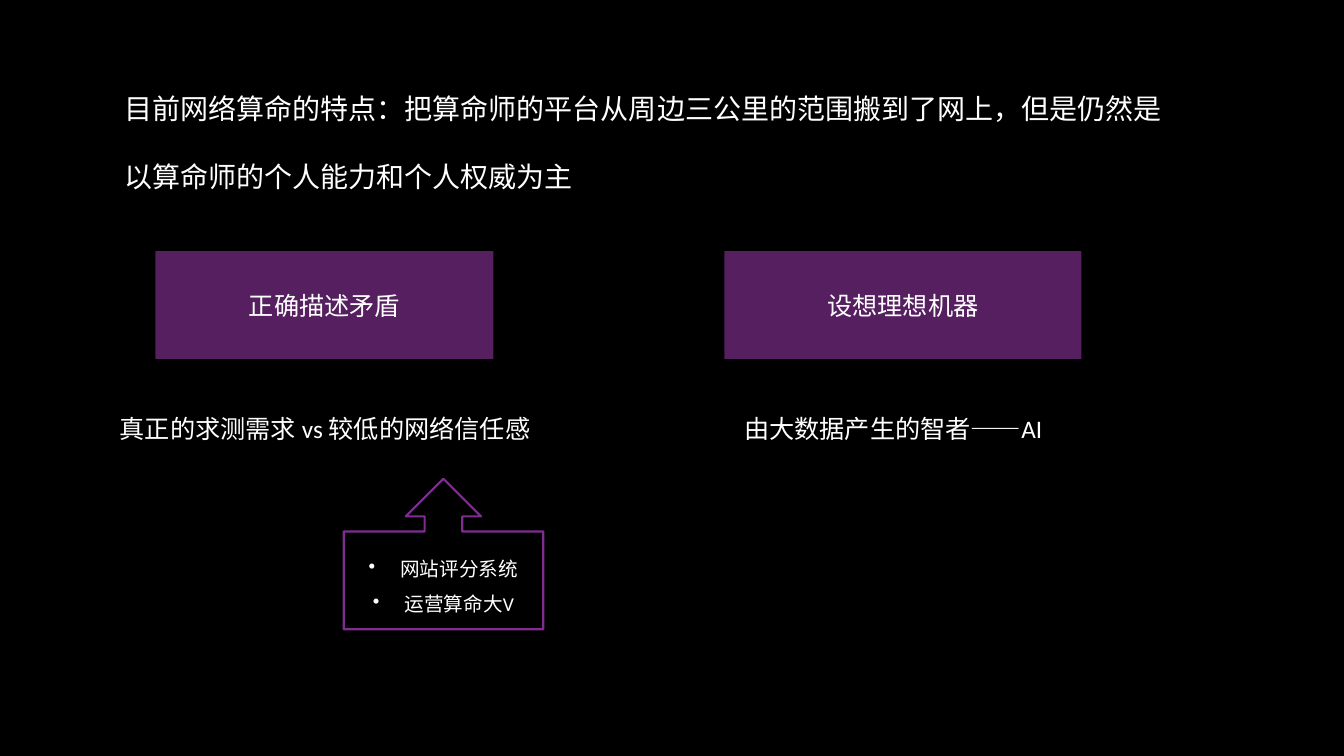
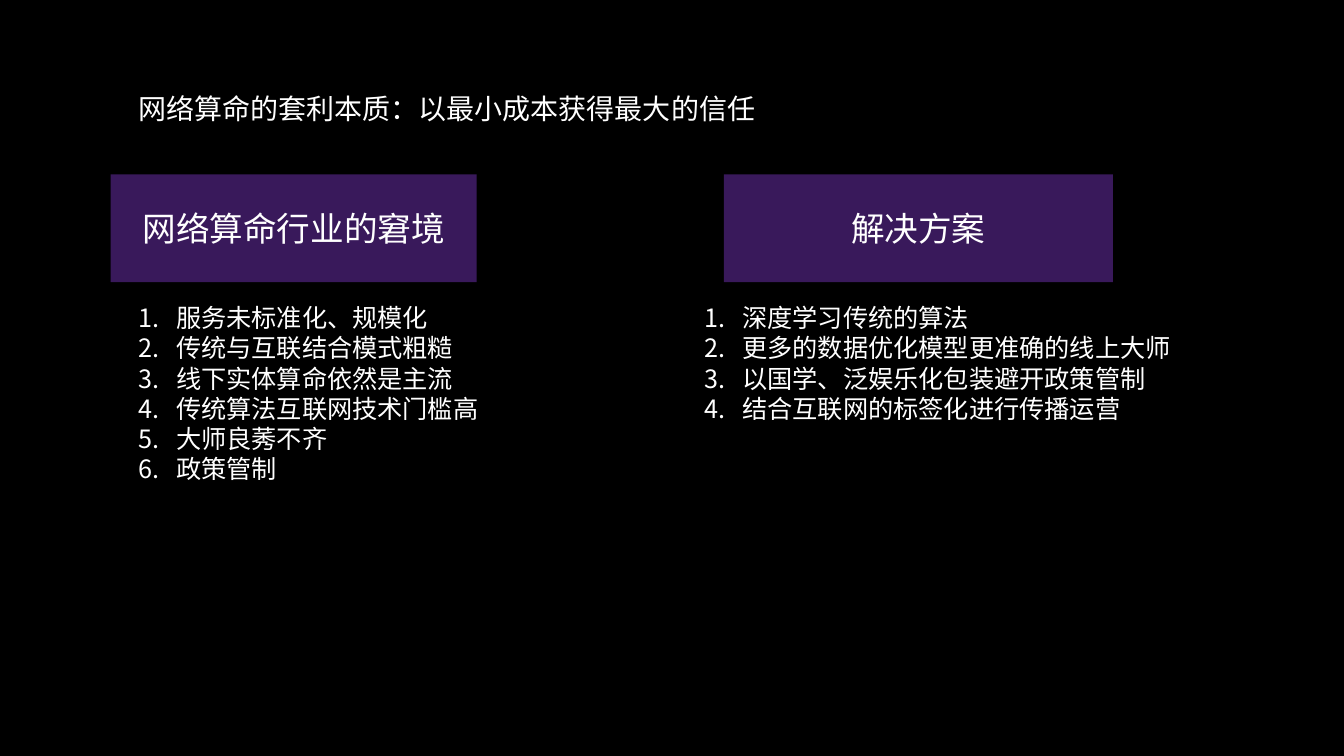
from lxml import etree
from pptx import Presentation
from pptx.dml.color import RGBColor
from pptx.enum import shapes, text
from pptx.oxml.ns import qn
from pptx.util import Pt

BLACK = RGBColor(0x00, 0x00, 0x00)
WHITE = RGBColor(0xFF, 0xFF, 0xFF)
PLUM = RGBColor(0x56, 0x1F, 0x60)
VIOLET = RGBColor(0x39, 0x19, 0x5B)
ORCHID = RGBColor(0x7F, 0x2E, 0x8F)
LATIN_FONT = "Calibri"
CHINESE_FONT = "Noto Sans CJK SC"
LEFT, CENTER = text.PP_ALIGN.LEFT, text.PP_ALIGN.CENTER
TOP, MIDDLE = text.MSO_ANCHOR.TOP, text.MSO_ANCHOR.MIDDLE
DOT = ("a:buChar", {"char": "•"}, 22.5)
NUMBER = ("a:buAutoNum", {"type": "arabicPeriod"}, 27)


def write(holder, lines, size, align=LEFT, anchor=TOP, spacing=1.0, marker=None):
    """Fill a shape with white paragraphs, with list markers if given."""
    frame = holder.text_frame
    frame.word_wrap = True
    frame.auto_size = text.MSO_AUTO_SIZE.NONE
    frame.vertical_anchor = anchor
    for i, line in enumerate(lines):
        paragraph = frame.add_paragraph() if i else frame.paragraphs[0]
        if marker:
            tag, attributes, indent = marker
            props = paragraph._p.get_or_add_pPr()
            props.set("marL", str(Pt(indent)))
            props.set("indent", str(-Pt(indent)))
            etree.SubElement(props, qn(tag), attributes)
        paragraph.alignment = align
        paragraph.line_spacing = spacing
        paragraph.space_before = Pt(0)
        run = paragraph.add_run()
        run.text = line
        run.font.size = Pt(size)
        run.font.color.rgb = WHITE
        run.font.name = LATIN_FONT
        latin = run.font._element.find(qn("a:latin"))
        latin.addnext(latin.makeelement(qn("a:ea"), {"typeface": CHINESE_FONT}))


def place(holder, left, top, width, height):
    holder.left, holder.top = Pt(left), Pt(top)
    holder.width, holder.height = Pt(width), Pt(height)


prs = Presentation()
prs.slide_width, prs.slide_height = Pt(960), Pt(540)
background = prs.slide_master.background.fill
background.solid()
background.fore_color.rgb = BLACK

# Both slides: title and two coloured headings
# layout, title, title left, title height, heading top, colour, size, headings
outline = [
    (5, "目前网络算命的特点：把算命师的平台从周边三公里的范围搬到了网上，"
        "但是仍然是以算命师的个人能力和个人权威为主", 81.5, 104.5, 179.5, PLUM, 18,
     [("正确描述矛盾", 111, 241.5), ("设想理想机器", 517.5, 255)]),
    (3, "网络算命的套利本质：以最小成本获得最大的信任", 91.5, 48, 124.5, VIOLET, 24,
     [("网络算命行业的窘境", 79, 261.5), ("解决方案", 517, 278)]),
]
slides = []
for layout, title, left, height, heading_top, color, size, headings in outline:
    slide = prs.slides.add_slide(prs.slide_layouts[layout])
    slides.append(slide)
    place(slide.shapes.title, left, 38, 760, height)
    write(slide.shapes.title, [title], 20, spacing=2.0)
    for label, heading_left, width in headings:
        heading = slide.shapes.add_shape(
            shapes.MSO_SHAPE.RECTANGLE, Pt(heading_left), Pt(heading_top), Pt(width), Pt(77))
        heading.shadow.inherit = False
        heading.fill.solid()
        heading.fill.fore_color.rgb = color
        heading.line.fill.background()
        write(heading, [label], size, CENTER, MIDDLE)
conflict_slide, solution_slide = slides

# Slide 1: statements under the headings
for statement, left, width, align in [
    ("真正的求测需求 vs 较低的网络信任感", 78.5, 332.5, LEFT),
    ("由大数据产生的智者——AI", 497, 282, CENTER),
]:
    box = conflict_slide.shapes.add_textbox(Pt(left), Pt(291.5), Pt(width), Pt(29))
    write(box, [statement], 18, align)

# Slide 1: callout on building trust
trust_callout = conflict_slide.shapes.add_shape(
    shapes.MSO_SHAPE.UP_ARROW_CALLOUT, Pt(245.5), Pt(342), Pt(142.5), Pt(107.5))
trust_callout.shadow.inherit = False
trust_callout.fill.background()
trust_callout.line.color.rgb = ORCHID
trust_callout.line.width = Pt(1.5)
write(trust_callout, ["网站评分系统", "运营算命大V"], 14, CENTER, MIDDLE, 1.5, DOT)

# Slide 2: numbered lists of problems and solutions
problems = ["服务未标准化、规模化", "传统与互联结合模式粗糙", "线下实体算命依然是主流",
            "传统算法互联网技术门槛高", "大师良莠不齐", "政策管制"]
solutions = ["深度学习传统的算法", "更多的数据优化模型更准确的线上大师",
             "以国学、泛娱乐化包装避开政策管制", "结合互联网的标签化进行传播运营"]
for index, items, left, width, height in [
    (1, problems, 91.5, 282, 138),
    (2, solutions, 496, 357, 94.5),
]:
    body = solution_slide.placeholders[index]
    place(body, left, 212.5, width, height)
    write(body, items, 18, marker=NUMBER)

prs.save("out.pptx")
